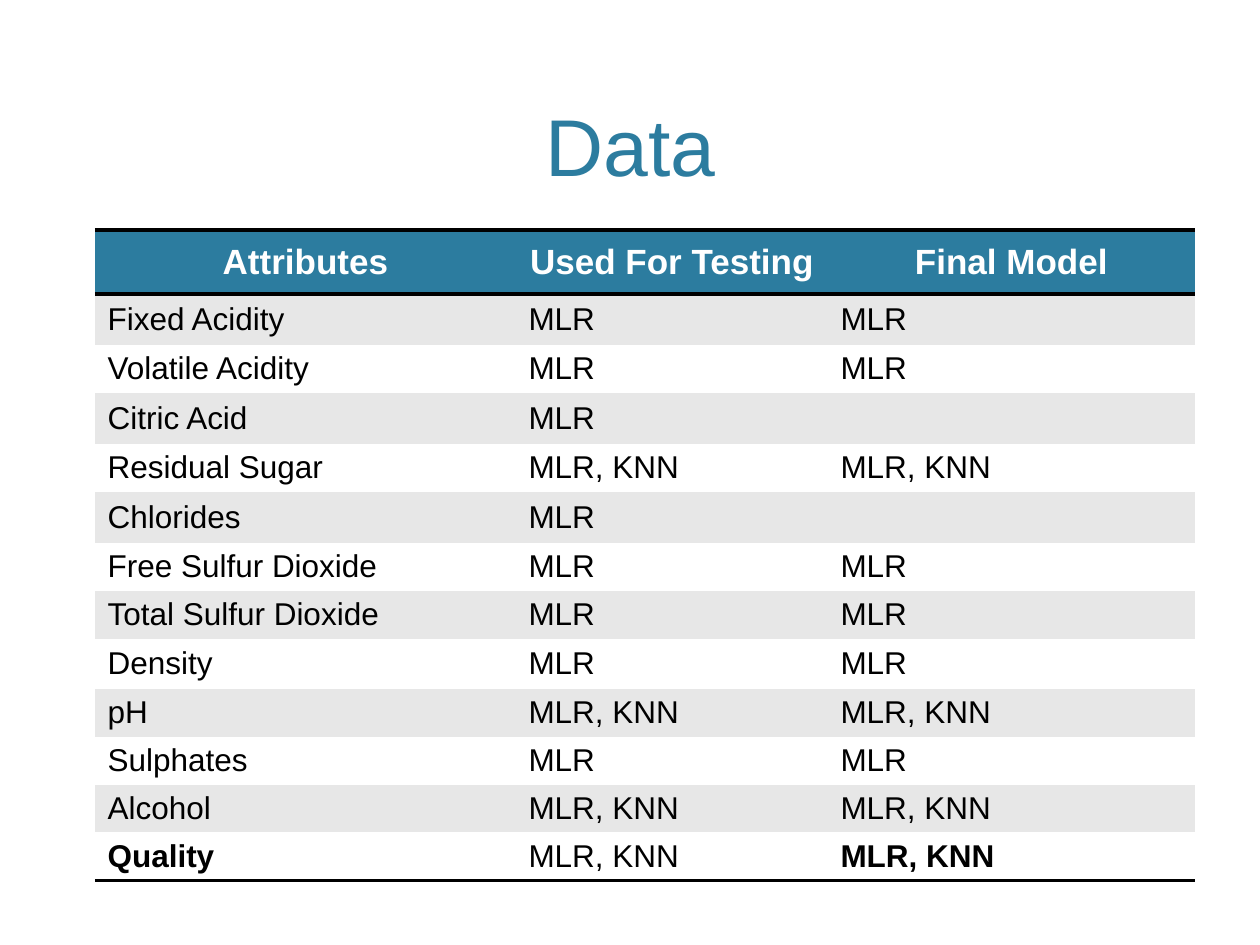
from lxml import etree
from pptx import Presentation
from pptx import util as u
from pptx.dml.color import RGBColor
from pptx.enum import text
from pptx.oxml import ns

PIXEL = 914400 / 126
COLORS = {"teal": "2C7C9F", "band": "E7E7E7", "white": "FFFFFF", "black": "000000"}
FONT = "Arial"


def px(length):
    return u.Emu(round(length * PIXEL))


def color(name):
    return RGBColor.from_string(COLORS[name])


class SlideBuilder:
    def __init__(self, page):
        self.page = page

    def style(self, para, size, tone, bold=False, centered=False):
        para.font.name = FONT
        para.font.size = u.Pt(size)
        para.font.bold = bold
        para.font.color.rgb = color(tone)
        para.alignment = text.PP_ALIGN.CENTER if centered else text.PP_ALIGN.LEFT

    def title(self, words, left, top, width, height):
        box = self.page.shapes.title
        box.left, box.top, box.width, box.height = map(px, (left, top, width, height))
        frame = box.text_frame
        frame.text = words
        frame.vertical_anchor = text.MSO_ANCHOR.BOTTOM
        self.style(frame.paragraphs[0], 46, "teal", centered=True)

    def borders(self, cell, ruled_sides):
        properties = cell._tc.get_or_add_tcPr()
        for index, side in enumerate("LRTB"):
            line = etree.Element(ns.qn(f"a:ln{side}"))
            if side in ruled_sides:
                line.set("w", str(u.Pt(2)))
                fill = etree.SubElement(line, ns.qn("a:solidFill"))
                etree.SubElement(fill, ns.qn("a:srgbClr"), val=COLORS["black"])
            else:
                etree.SubElement(line, ns.qn("a:noFill"))
            properties.insert(index, line)

    def cell(self, cell, words, fill, ruled_sides, **style):
        cell.text = words
        cell.vertical_anchor = text.MSO_ANCHOR.MIDDLE
        cell.margin_top = cell.margin_bottom = 0
        cell.fill.solid()
        cell.fill.fore_color.rgb = color(fill)
        self.style(cell.text_frame.paragraphs[0], **style)
        self.borders(cell, ruled_sides)

    def table(self, rows, left, top, widths, heights, bold_cells):
        frame = self.page.shapes.add_table(
            len(rows), len(widths), px(left), px(top), px(sum(widths)), px(sum(heights)))
        table = frame.table
        table.horz_banding = False
        for column, width in zip(table.columns, widths):
            column.width = px(width)
        for row, height in zip(table.rows, heights):
            row.height = px(height)
        ruled = {0: "TB", 1: "T", len(rows) - 1: "B"}
        for r, row in enumerate(rows):
            header = r == 0
            fill = "teal" if header else "band" if r % 2 else "white"
            for c, words in enumerate(row):
                self.cell(
                    table.cell(r, c), words, fill, ruled.get(r, ""),
                    size=20 if header else 18,
                    tone="white" if header else "black",
                    bold=header or (r, c) in bold_cells,
                    centered=header)


ROWS = [
    ("Attributes", "Used For Testing", "Final Model"),
    ("Fixed Acidity", "MLR", "MLR"),
    ("Volatile Acidity", "MLR", "MLR"),
    ("Citric Acid", "MLR", ""),
    ("Residual Sugar", "MLR, KNN", "MLR, KNN"),
    ("Chlorides", "MLR", ""),
    ("Free Sulfur Dioxide", "MLR", "MLR"),
    ("Total Sulfur Dioxide", "MLR", "MLR"),
    ("Density", "MLR", "MLR"),
    ("pH", "MLR, KNN", "MLR, KNN"),
    ("Sulphates", "MLR", "MLR"),
    ("Alcohol", "MLR, KNN", "MLR, KNN"),
    ("Quality", "MLR, KNN", "MLR, KNN"),
]
HEIGHTS = [64, 51, 48, 51, 48, 51, 48, 48, 50, 48, 48, 47, 49]

deck = Presentation()
deck.slide_width, deck.slide_height = px(1260), px(945)
builder = SlideBuilder(deck.slides.add_slide(deck.slide_layouts[5]))
builder.title("Data", 76, 15, 1109, 184)
builder.table(ROWS, 95, 230, [421, 312, 367], HEIGHTS, {(12, 0), (12, 2)})
deck.save("out.pptx")
